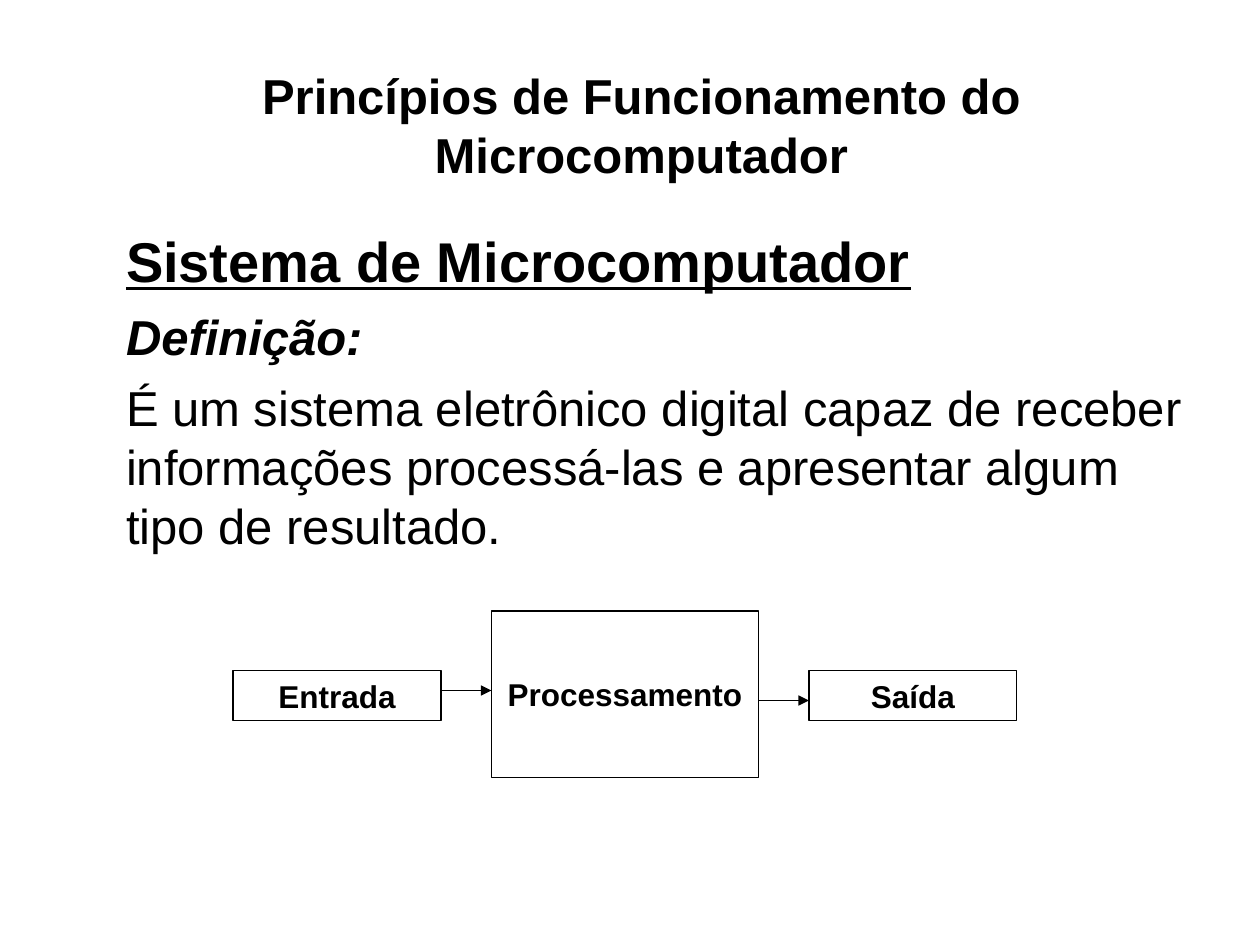
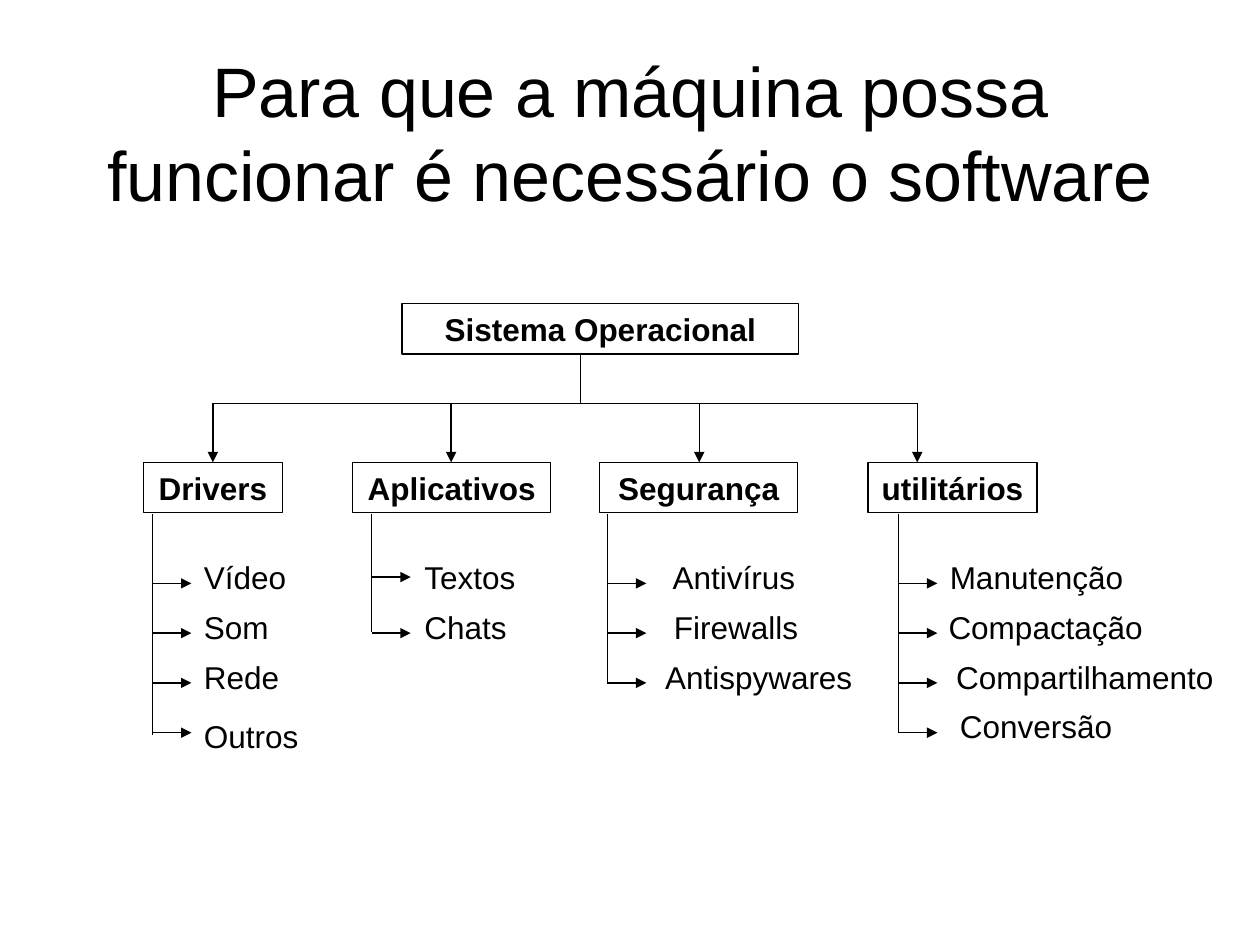
from lxml import etree
from pptx import Presentation
from pptx.dml.color import RGBColor
from pptx.enum.shapes import MSO_CONNECTOR, MSO_SHAPE
from pptx.enum.text import MSO_ANCHOR, MSO_AUTO_SIZE, PP_ALIGN
from pptx.oxml.ns import qn
from pptx.util import Inches, Pt

STRAIGHT = MSO_CONNECTOR.STRAIGHT
RECT = MSO_SHAPE.RECTANGLE
TOP, MIDDLE = MSO_ANCHOR.TOP, MSO_ANCHOR.MIDDLE
LEFT, CENTER = PP_ALIGN.LEFT, PP_ALIGN.CENTER
NO_FIT = MSO_AUTO_SIZE.NONE


def rgb(color):
    return RGBColor.from_string(color)


class Deck:
    FONT, INK, LINE_WIDTH = "Arial", "000000", 0.75
    LABEL_SIZE, LABEL_HEIGHT = 18, 0.4

    def __init__(self):
        self.prs = Presentation()
        self.prs.slide_width, self.prs.slide_height = Inches(10), Inches(7.5)
        self.s = None

    def add_slide(self, layout):
        self.s = self.prs.slides.add_slide(self.prs.slide_layouts[layout])

    def place(self, sp, left, top, width, height):
        sp.left, sp.top = Inches(left), Inches(top)
        sp.width, sp.height = Inches(width), Inches(height)

    def frame(self, sp, anchor, inset_x=0.1, inset_y=0.05):
        tf = sp.text_frame
        tf.word_wrap, tf.auto_size, tf.vertical_anchor = True, NO_FIT, anchor
        tf.margin_left = tf.margin_right = Inches(inset_x)
        tf.margin_top = tf.margin_bottom = Inches(inset_y)
        return tf

    def style(self, p, size, bold=False, italic=False, underline=False, align=LEFT):
        p.alignment = align
        for r in p.runs:
            f = r.font
            f.name, f.size, f.color.rgb = self.FONT, Pt(size), rgb(self.INK)
            f.bold, f.italic, f.underline = bold, italic, underline

    def title(self, text, box, size, bold=False, insets=(0.1, 0.05)):
        sp = self.s.shapes.title
        self.place(sp, *box)
        tf = self.frame(sp, MIDDLE, *insets)
        tf.text = text
        self.style(tf.paragraphs[0], size, bold, align=CENTER)

    def body(self, box, paragraphs):
        sp = self.s.placeholders[1]
        self.place(sp, *box)
        tf = self.frame(sp, TOP)
        tf.text = "\n".join(text for text, _ in paragraphs)
        for i, (p, (_, look)) in enumerate(zip(tf.paragraphs, paragraphs)):
            pPr = p._p.get_or_add_pPr()
            pPr.set("marL", str(Inches(0.4)))
            pPr.set("indent", "0")
            etree.SubElement(pPr, qn("a:buNone"))
            p.space_before = Pt(7 if i else 0)
            self.style(p, **look)

    def box(self, text, left, top, width, height=LABEL_HEIGHT):
        sp = self.s.shapes.add_shape(RECT, 0, 0, 0, 0)
        self.place(sp, left, top, width, height)
        sp.shadow.inherit = False
        sp.fill.background()
        sp.line.color.rgb, sp.line.width = rgb(self.INK), Pt(self.LINE_WIDTH)
        tf = self.frame(sp, MIDDLE)
        tf.text = text
        self.style(tf.paragraphs[0], self.LABEL_SIZE, bold=True, align=CENTER)

    def label(self, text, left, top, width):
        sp = self.s.shapes.add_textbox(0, 0, 0, 0)
        self.place(sp, left, top, width, self.LABEL_HEIGHT)
        tf = self.frame(sp, TOP)
        tf.text = text
        self.style(tf.paragraphs[0], self.LABEL_SIZE)

    def line(self, x1, y1, x2, y2, arrow=False):
        cx = self.s.shapes.add_connector(
            STRAIGHT, Inches(x1), Inches(y1), Inches(x2), Inches(y2))
        cx.line.color.rgb, cx.line.width = rgb(self.INK), Pt(self.LINE_WIDTH)
        if arrow:
            etree.SubElement(cx.line._get_or_add_ln(), qn("a:tailEnd"), type="triangle")
        etree.SubElement(cx._element.spPr, qn("a:effectLst"))


# Heading, box left, box width, arrow x, stem x, stem end, items (text, left, width)
BRANCHES = [
    ("Drivers", 1.14, 1.1, 1.69, 1.21, 5.83,
     [("Vídeo", 1.52, 0.95), ("Som", 1.52, 0.79),
      ("Rede", 1.52, 0.87), ("Outros", 1.52, 1.02)]),
    ("Aplicativos", 2.8, 1.57, 3.58, 2.95, 5.02,
     [("Textos", 3.27, 0.95), ("Chats", 3.27, 1.18)]),
    ("Segurança", 4.76, 1.57, 5.55, 4.82, 5.43,
     [("Antivírus", 5.24, 1.25), ("Firewalls", 5.25, 1.25),
      ("Antispywares", 5.18, 1.81)]),
    ("utilitários", 6.89, 1.34, 7.28, 7.13, 5.81,
     [("Manutenção", 7.44, 1.73), ("Compactação", 7.43, 1.97),
      ("Compartilhamento", 7.49, 2.36), ("Conversão", 7.52, 1.81)]),
]
BUS_Y, HEADING_Y, STEM_Y = 3.2, 3.67, 4.08
ITEM_Y, ARROW_Y, ROW_STEP = 4.38, 4.63, 0.395
ITEM_SHIFT = {"Outros": 0.08}
ARROW_SHIFT = {"Textos": -0.05}


def microcomputer_slide(deck):
    deck.add_slide(1)
    deck.title("Princípios de Funcionamento do Microcomputador",
               (0.59, 0.36, 9, 1.25), 28, bold=True)
    deck.body((0.5, 1.75, 9, 2.87), [
        ("Sistema de Microcomputador", dict(size=32, bold=True, underline=True)),
        ("Definição:", dict(size=28, bold=True, italic=True)),
        ("É um sistema eletrônico digital capaz de receber informações "
         "processá-las e apresentar algum tipo de resultado.", dict(size=28)),
    ])
    # Input, processing and output
    deck.box("Entrada", 1.85, 5.32, 1.65)
    deck.box("Processamento", 3.9, 4.85, 2.12, 1.32)
    deck.box("Saída", 6.42, 5.32, 1.65)
    deck.line(3.5, 5.48, 3.9, 5.48, arrow=True)
    deck.line(6.02, 5.56, 6.42, 5.56, arrow=True)


def software_slide(deck):
    deck.add_slide(5)
    deck.title("Para que a máquina possa funcionar é necessário o software",
               (0.5, 0.3, 9, 1.48), 40, insets=(0.02, 0.08))
    # Root box and the bar below it
    deck.box("Sistema Operacional", 3.19, 2.41, 3.15)
    deck.line(4.61, 2.81, 4.61, BUS_Y)
    deck.line(BRANCHES[0][3], BUS_Y, BRANCHES[-1][3], BUS_Y)
    # Branches with their items
    for heading, left, width, drop_x, stem_x, stem_end, items in BRANCHES:
        deck.line(drop_x, BUS_Y, drop_x, HEADING_Y, arrow=True)
        deck.box(heading, left, HEADING_Y, width)
        deck.line(stem_x, STEM_Y, stem_x, stem_end)
        for row, (text, item_left, item_width) in enumerate(items):
            offset = row * ROW_STEP
            deck.label(text, item_left, ITEM_Y + offset + ITEM_SHIFT.get(text, 0),
                       item_width)
            y = ARROW_Y + offset + ARROW_SHIFT.get(text, 0)
            deck.line(stem_x, y, stem_x + 0.31, y, arrow=True)


def main():
    deck = Deck()
    microcomputer_slide(deck)
    software_slide(deck)
    deck.prs.save("out.pptx")


if __name__ == "__main__":
    main()
